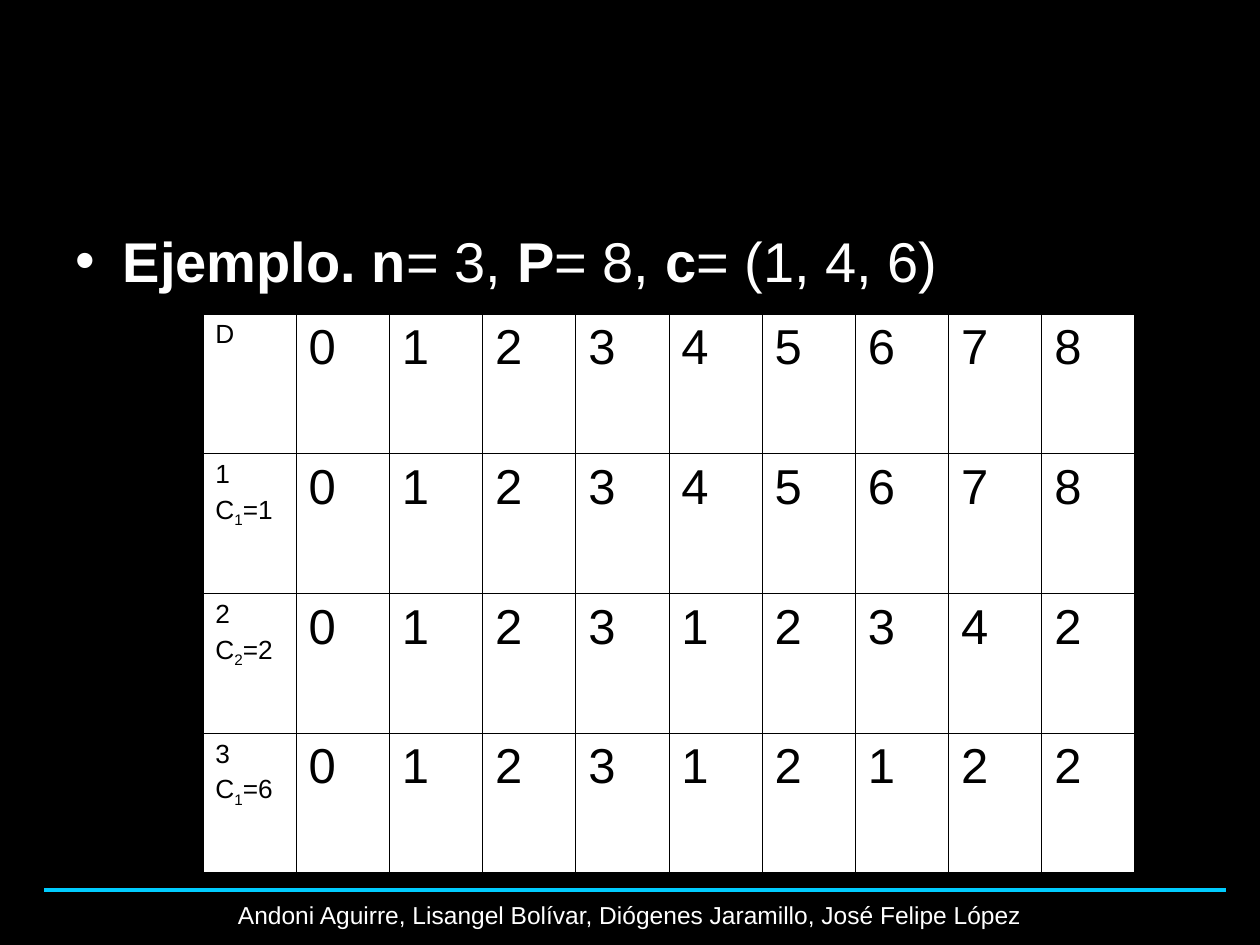
from dataclasses import dataclass
from typing import NamedTuple

from lxml.etree import SubElement
from pptx import Presentation
from pptx.dml.color import RGBColor
from pptx.enum.shapes import MSO_CONNECTOR
from pptx.enum.text import PP_ALIGN
from pptx.oxml.ns import qn
from pptx.util import Inches, Pt


@dataclass(frozen=True)
class Theme:
    font: str = "Arial"
    background: RGBColor = RGBColor(0, 0, 0)
    light: RGBColor = RGBColor(255, 255, 255)
    dark: RGBColor = RGBColor(0, 0, 0)
    accent: RGBColor = RGBColor(0, 0xCC, 0xFF)
    heading_size: float = 32
    value_size: float = 28
    label_size: float = 15
    footer_size: float = 14
    rule_width: float = 2.25
    inner_border: float = 0.45
    outer_border: float = 1.08


class Box(NamedTuple):
    left: float
    top: float
    width: float
    height: float

    def emu(self):
        return [Inches(length) for length in self]


class CoinRow(NamedTuple):
    label: str
    subscript: str
    coin: str
    counts: str


THEME = Theme()
SLIDE_WIDTH, SLIDE_HEIGHT = 10, 7.5
COLUMN, ROW = 0.74, 1.11
COIN_ROWS = [
    CoinRow("D", "", "", "012345678"),
    CoinRow("1", "1", "=1", "012345678"),
    CoinRow("2", "2", "=2", "012312342"),
    CoinRow("3", "1", "=6", "012312122"),
]
EXAMPLE = [("Ejemplo. n", True), ("= 3, ", False), ("P", True),
           ("= 8, ", False), ("c", True), ("= (1, 4, 6)", False)]
AUTHORS = "Andoni Aguirre, Lisangel Bolívar, Diógenes Jaramillo, José Felipe López"


def style(paragraph, size: float, color: RGBColor, before: float) -> None:
    paragraph.font.name = THEME.font
    paragraph.font.size = Pt(size)
    paragraph.font.color.rgb = color
    paragraph.space_before = Pt(before)


def add_border(cell, side: str, width: float) -> None:
    border = SubElement(cell._tc.get_or_add_tcPr(), qn(f"a:ln{side}"), w=str(Pt(width)))
    fill = SubElement(border, qn("a:solidFill"))
    SubElement(fill, qn("a:srgbClr"), val=str(THEME.dark))


def fill_label(cell, row: CoinRow) -> None:
    frame = cell.text_frame
    frame.text = row.label
    if row.coin:
        coin_line = frame.add_paragraph()
        for text in ("C", row.subscript, row.coin):
            coin_line.add_run().text = text
        coin_line.runs[1].font._element.set("baseline", "-25000")
    for paragraph in frame.paragraphs:
        style(paragraph, THEME.label_size, THEME.dark, 3.7)


def add_coin_table(slide, rows: list[CoinRow]) -> None:
    row_count, column_count = len(rows), len(rows[0].counts) + 1
    area = Box(1.61, 2.49, column_count * COLUMN, row_count * ROW)
    table = slide.shapes.add_table(row_count, column_count, *area.emu()).table
    for column in table.columns:
        column.width = Inches(COLUMN)
    for r, row in enumerate(rows):
        table.rows[r].height = Inches(ROW)
        for c in range(column_count):
            cell = table.cell(r, c)
            if c == 0:
                fill_label(cell, row)
            else:
                cell.text = row.counts[c - 1]
                style(cell.text_frame.paragraphs[0], THEME.value_size, THEME.dark, 7)
            # Thicker lines run round the outside of the table
            outer_sides = {"L": c == 0, "R": c == column_count - 1,
                           "T": r == 0, "B": r == row_count - 1}
            for side, is_outer in outer_sides.items():
                add_border(cell, side, THEME.outer_border if is_outer else THEME.inner_border)
            cell.fill.solid()
            cell.fill.fore_color.rgb = THEME.light


def add_example(slide) -> None:
    body = slide.placeholders[1]
    body.left, body.top, body.width, body.height = Box(0.5, 1.75, 9, 4.95).emu()
    example = body.text_frame.paragraphs[0]
    style(example, THEME.heading_size, THEME.light, 8)
    for text, bold in EXAMPLE:
        run = example.add_run()
        run.text = text
        run.font.bold = bold


def add_footer(slide) -> None:
    y = Inches(7.06)
    rule = slide.shapes.add_connector(
        MSO_CONNECTOR.STRAIGHT, Inches(0.35), y, Inches(9.73), y)
    rule.line.color.rgb = THEME.accent
    rule.line.width = Pt(THEME.rule_width)
    SubElement(rule._element.spPr, qn("a:effectLst"))

    authors = slide.shapes.add_textbox(*Box(0, 7.14, SLIDE_WIDTH, 0.36).emu())
    authors.text_frame.word_wrap = True
    authors.text_frame.text = AUTHORS
    credit = authors.text_frame.paragraphs[0]
    credit.alignment = PP_ALIGN.CENTER
    credit.line_spacing = 0.8
    style(credit, THEME.footer_size, THEME.light, 3.5)


def main() -> None:
    deck = Presentation()
    deck.slide_width, deck.slide_height = Inches(SLIDE_WIDTH), Inches(SLIDE_HEIGHT)
    slide = deck.slides.add_slide(deck.slide_layouts[1])
    slide.background.fill.solid()
    slide.background.fill.fore_color.rgb = THEME.background

    # The slide has no title
    title = slide.shapes.title._element
    title.getparent().remove(title)

    add_example(slide)
    add_coin_table(slide, COIN_ROWS)
    add_footer(slide)
    deck.save("out.pptx")


if __name__ == "__main__":
    main()
